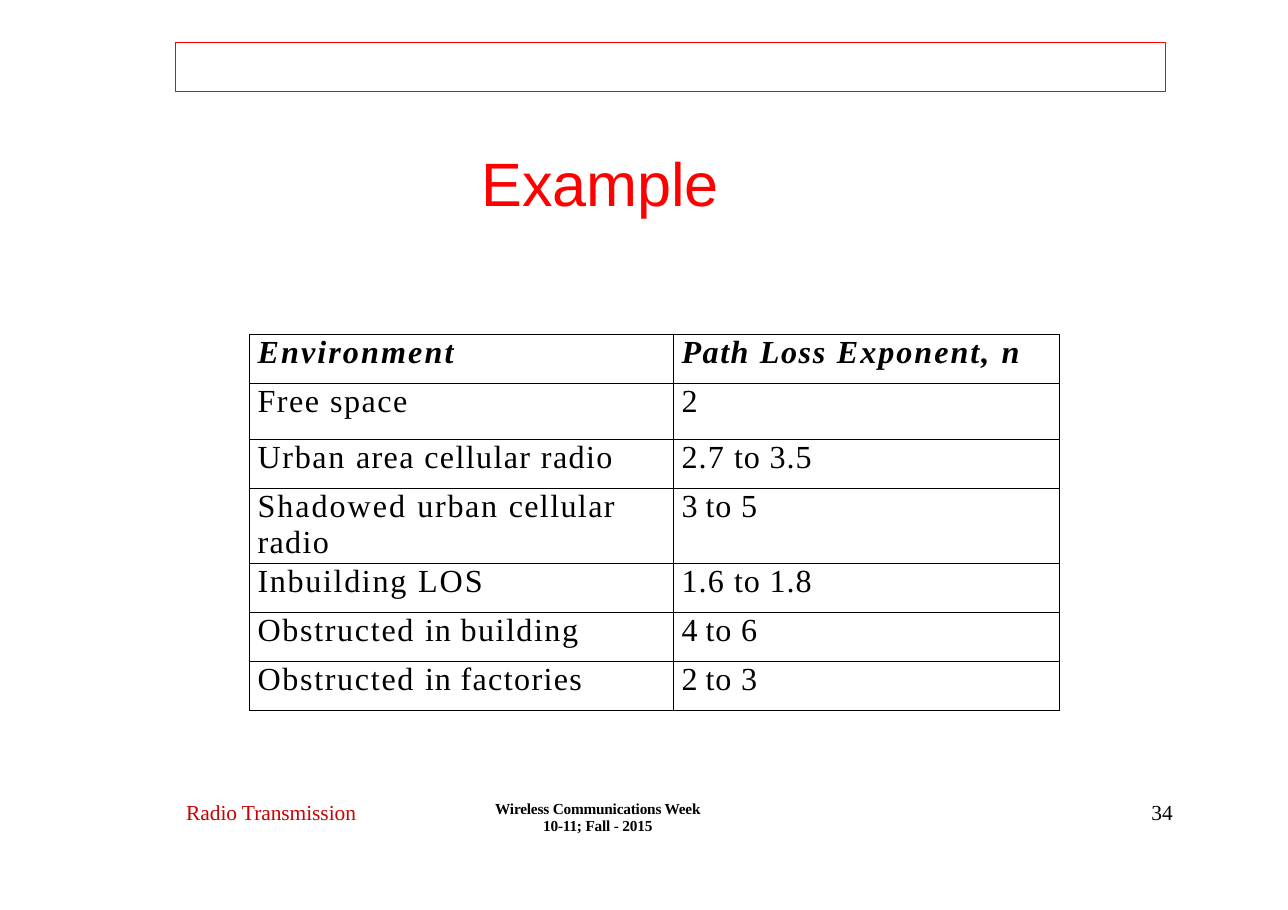
import pptx
import pptx.util
import pptx.dml.color
import pptx.enum.shapes
import pptx.enum.text
import pptx.oxml
import pptx.oxml.ns

WIDE, HIGH = pptx.util.Inches(11.69), pptx.util.Inches(8.26)
ALIGN = pptx.enum.text.PP_ALIGN
HUES = {"red": "FF0000", "dark": "CC0000", "ink": "000000"}
SERIF = "Times New Roman"
PLAIN = {"name": SERIF, "size": pptx.util.Pt(21), "bold": False, "italic": False}
HEAD = {**PLAIN, "bold": True, "italic": True}
TITLE = {"name": "Arial", "size": pptx.util.Pt(40), "bold": False}
FOOT = {"name": SERIF, "size": pptx.util.Pt(14)}
SMALL = {"name": SERIF, "size": pptx.util.Pt(10), "bold": True}
BARE = {"margin_left": 0, "margin_right": 0, "margin_top": 0, "margin_bottom": 0}

ROWS = [
    ("Environment", "Path Loss Exponent, n"),
    ("Free space", "2"),
    ("Urban area cellular radio", "2.7 to 3.5"),
    ("Shadowed urban cellular\nradio", "3 to 5"),
    ("Inbuilding LOS", "1.6 to 1.8"),
    ("Obstructed in building", "4 to 6"),
    ("Obstructed in factories", "2 to 3"),
]
COLS = [32.93, 29.9]
TALL = [5.39, 6.13, 5.39, 8.23, 5.39, 5.39, 5.39]
GAPS = {
    "Environment": 1.4, "Loss": 1.1, "Exponent,": 1.3, "n": 0,
    "Urban": 1.1, "area": 0.9, "cellular": 0.9, "radio": 0.9,
    "Shadowed": 1.3, "urban": 1.1, "Inbuilding": 1.1, "LOS": 1.3,
    "Obstructed": 1.1, "in": 0.5, "to": 0.5, "factories": 0.9,
}
EDGES = {"lnL": 0.75, "lnR": 0.75, "lnT": 0.75, "lnB": 0.75}


def across(part):
    return round(WIDE * part / 100)


def down(part):
    return round(HIGH * part / 100)


def area(x, y, w, h):
    return across(x), down(y), across(w), down(h)


def apply(item, form):
    for key, value in form.items():
        setattr(item, key, value)


def color(hue):
    return pptx.dml.color.RGBColor.from_string(HUES[hue])


def write(para, text, form, hue, gap=0):
    run = para.add_run()
    run.text = text
    apply(run.font, form)
    run.font.color.rgb = color(hue)
    run.font._element.set("spc", str(round(gap * 100)))


def label(slide, spot, text, form, hue, lead, gap=0, align=ALIGN.LEFT):
    frame = slide.shapes.add_textbox(*area(*spot)).text_frame
    apply(frame, {**BARE, "word_wrap": True})
    para = frame.paragraphs[0]
    apply(para, {"alignment": align, "line_spacing": pptx.util.Pt(lead)})
    write(para, text, form, hue, gap)


def title(slide, spot, text):
    shape = slide.shapes.title
    apply(shape, dict(zip(("left", "top", "width", "height"), area(*spot))))
    frame = shape.text_frame
    apply(frame, {
        **BARE,
        "word_wrap": False,
        "auto_size": pptx.enum.text.MSO_AUTO_SIZE.NONE,
        "vertical_anchor": pptx.enum.text.MSO_ANCHOR.TOP,
    })
    frame.paragraphs[0].alignment = ALIGN.LEFT
    write(frame.paragraphs[0], text, TITLE, "red", -0.05)


def banner(slide, spot):
    box = slide.shapes.add_shape(
        pptx.enum.shapes.MSO_SHAPE.RECTANGLE, *area(*spot))
    box.shadow.inherit = False
    box.fill.background()
    box.line.color.rgb = color("red")
    box.line.width = pptx.util.Pt(0.9)


def border(cell):
    props = cell._tc.get_or_add_tcPr()
    for edge, width in EDGES.items():
        props.append(pptx.oxml.parse_xml(
            f'<a:{edge} {pptx.oxml.ns.nsdecls("a")} w="{pptx.util.Pt(width)}">'
            f'<a:solidFill><a:srgbClr val="{HUES["ink"]}"/></a:solidFill>'
            f'</a:{edge}>'))


def space(word):
    if word[0].isdigit():
        return 0.7 if "." in word else 0
    return GAPS.get(word, 1)


def enter(cell, text, form):
    apply(cell, {**BARE, "margin_left": pptx.util.Inches(0.07)})
    border(cell)
    cell.fill.background()
    for i, line in enumerate(text.split("\n")):
        frame = cell.text_frame
        para = frame.add_paragraph() if i else frame.paragraphs[0]
        para.line_spacing = pptx.util.Pt(23.4)
        words = line.split()
        for j, word in enumerate(words):
            tail = " " if j < len(words) - 1 else ""
            write(para, word + tail, form, "ink", space(word))


def grid(slide, x, y):
    spot = area(x, y, sum(COLS), sum(TALL))
    table = slide.shapes.add_table(len(ROWS), len(COLS), *spot).table
    apply(table, {"first_row": False, "horz_banding": False})
    for col, part in zip(table.columns, COLS):
        col.width = across(part)
    for i, (row, part) in enumerate(zip(table.rows, TALL)):
        row.height = down(part)
        for cell, text in zip(row.cells, ROWS[i]):
            enter(cell, text, PLAIN if i else HEAD)


def main():
    deck = pptx.Presentation()
    apply(deck, {"slide_width": WIDE, "slide_height": HIGH})
    slide = deck.slides.add_slide(deck.slide_layouts[5])
    banner(slide, (13.64, 4.66, 76.86, 5.39))
    title(slide, (37.38, 15.98, 18.73, 8.23), "Example")
    grid(slide, 19.4, 36.8)
    label(slide, (14.46, 88.14, 15, 2.66), "Radio Transmission",
          FOOT, "dark", 15.1, -0.05)
    label(slide, (37.55, 88.01, 17.71, 4.12),
          "Wireless Communications Week 10-11; Fall - 2015",
          SMALL, "ink", 11, -0.1, ALIGN.CENTER)
    label(slide, (89.39, 88.14, 2.2, 2.66), "34", FOOT, "ink", 15.1)
    deck.save("out.pptx")


if __name__ == "__main__":
    main()
